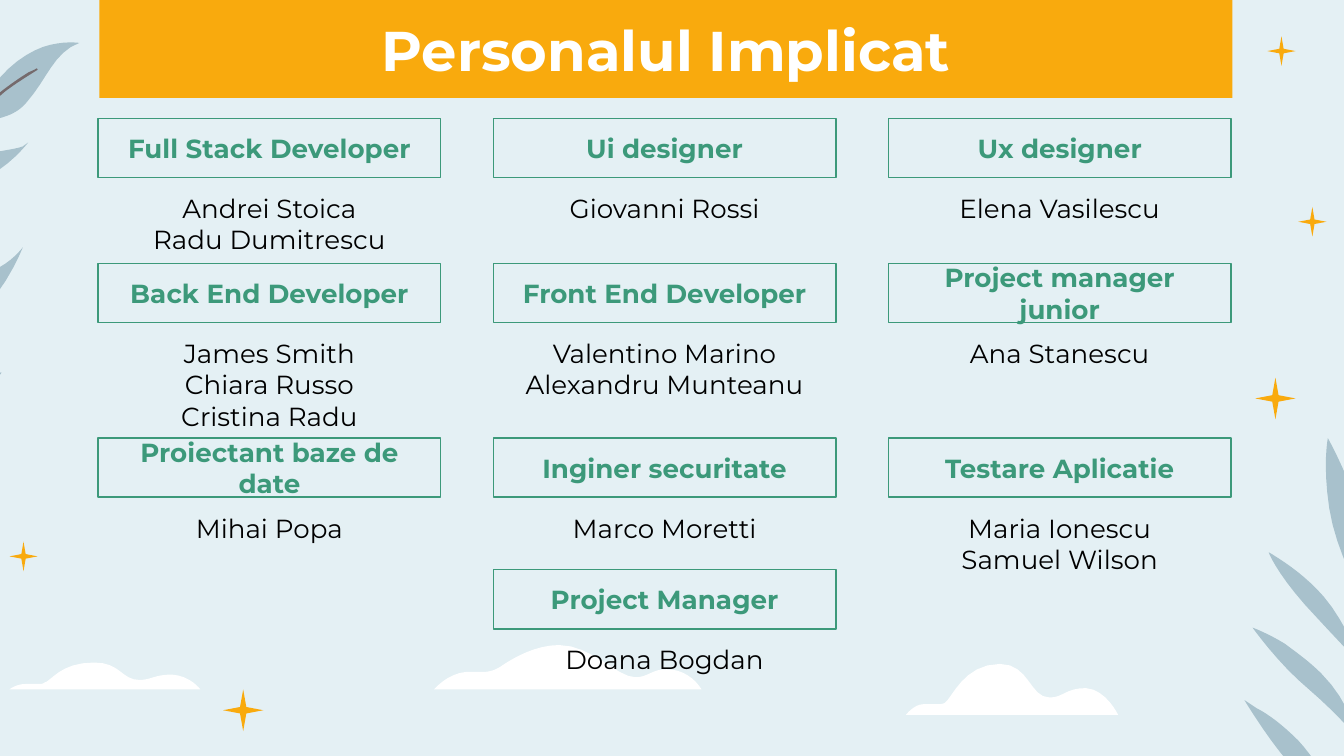
"""Build the "Personalul Implicat" slide: a team roster on a leafy background."""
from pptx import Presentation
from pptx.dml.color import RGBColor
from pptx.enum.shapes import MSO_SHAPE
from pptx.enum.text import MSO_ANCHOR, PP_ALIGN
from pptx.util import Inches, Pt

RECTANGLE, STAR = MSO_SHAPE.RECTANGLE, MSO_SHAPE.STAR_4_POINT
TOP, MIDDLE, CENTER = MSO_ANCHOR.TOP, MSO_ANCHOR.MIDDLE, PP_ALIGN.CENTER

SKY = RGBColor(0xE4, 0xF0, 0xF4)
LEAF = RGBColor(0xA8, 0xC1, 0xCC)
VEIN = RGBColor(0x75, 0x6A, 0x6C)
ORANGE = RGBColor(0xF9, 0xAA, 0x0D)
GREEN = RGBColor(0x3C, 0x99, 0x7A)
WHITE = RGBColor(0xFF, 0xFF, 0xFF)
BLACK = RGBColor(0x00, 0x00, 0x00)
FONT = "Montserrat"

TITLE = "Personalul Implicat"
ROLES = [
    (0, 0, "Full Stack Developer", ["Andrei Stoica", "Radu Dumitrescu"]),
    (0, 1, "Ui designer", ["Giovanni Rossi"]),
    (0, 2, "Ux designer", ["Elena Vasilescu"]),
    (1, 0, "Back End Developer", ["James Smith", "Chiara Russo", "Cristina Radu"]),
    (1, 1, "Front End Developer", ["Valentino Marino", "Alexandru Munteanu"]),
    (1, 2, "Project manager junior", ["Ana Stanescu"]),
    (2, 0, "Proiectant baze de date", ["Mihai Popa"]),
    (2, 1, "Inginer securitate", ["Marco Moretti"]),
    (2, 2, "Testare Aplicatie", ["Maria Ionescu", "Samuel Wilson"]),
    (3, 1, "Project Manager", ["Doana Bogdan"]),
]
ROW_TOPS = [0.88, 1.96, 3.26, 4.24]
LEFT, COLUMN_PITCH, COLUMN_WIDTH = 0.73, 2.94, 2.55
ROLE_HEIGHT, NAMES_OFFSET, NAMES_HEIGHT = 0.44, 0.45, 0.63

LEAVES = [
    [(9.35, 5.27), (9.29, 5.23, 9.26, 5.21, 9.26, 5.21), (9.26, 5.21, 9.48, 5.58, 9.67, 5.76),
     (9.76, 5.84, 9.83, 5.92, 9.88, 5.97), (9.92, 5.91), (9.87, 5.8, 9.78, 5.64, 9.66, 5.51),
     (9.54, 5.39, 9.43, 5.31, 9.35, 5.27)],
    [(9.56, 4.79), (9.43, 4.71, 9.32, 4.67, 9.32, 4.67), (9.32, 4.67, 9.51, 4.94, 9.74, 5.13),
     (9.96, 5.32, 10.1, 5.49, 10.1, 5.49), (10.1, 5.49, 10.05, 5.23, 9.83, 5.01),
     (9.74, 4.92, 9.64, 4.85, 9.56, 4.79)],
    [(9.49, 4.14), (9.46, 4.12, 9.44, 4.11, 9.44, 4.11), (9.44, 4.11, 9.49, 4.25, 9.71, 4.5),
     (9.94, 4.75, 10.14, 4.96, 10.14, 4.96), (10.14, 4.96, 10.02, 4.64, 9.85, 4.44),
     (9.72, 4.29, 9.57, 4.19, 9.49, 4.14)],
    [(9.88, 3.26), (9.88, 3.26, 9.84, 3.45, 9.89, 3.78), (9.94, 4.11, 10.14, 4.45, 10.14, 4.45),
     (10.14, 4.45, 10.21, 4.21, 10.14, 3.92), (10.08, 3.62, 9.88, 3.26, 9.88, 3.26)],
    [(0.17, 1.84), (0.17, 1.84, -0.01, 2.3, -0.3, 2.43), (-0.41, 2.14),
     (-0.29, 2.1, -0.2, 2.07, -0.12, 2.04), (-0.09, 2.03, -0.07, 2.02, -0.05, 2.01),
     (0.08, 1.96, 0.17, 1.84, 0.17, 1.84)],
    [(-0.16, 2.79), (-0.08, 2.79, -0.01, 2.78, 0.01, 2.77), (0.02, 2.77, -0.03, 2.83, -0.13, 2.89)],
    [(-0.2, 1.18), (-0.04, 1.12, 0.09, 1.12, 0.17, 1.09), (0.18, 1.08, 0.2, 1.07, 0.21, 1.06),
     (0.21, 1.06, 0.06, 1.26, -0.15, 1.34), (-0.38, 1.42, -0.53, 1.43, -0.53, 1.43),
     (-0.53, 1.43, -0.53, 1.33, -0.28, 1.21), (-0.26, 1.2, -0.23, 1.19, -0.2, 1.18)],
    [(0.32, 0.35), (0.47, 0.3, 0.59, 0.32, 0.59, 0.32), (0.4, 0.39, 0.35, 0.59, 0.2, 0.76),
     (0.16, 0.81, 0.11, 0.84, 0.06, 0.86), (-0.06, 0.91, -0.19, 0.88, -0.19, 0.88),
     (-0.04, 0.55, 0.16, 0.41, 0.32, 0.35)],
]
VEINS = [
    [(-0.33, 1.02), (-0.3, 0.97, -0.27, 0.94, -0.23, 0.9), (-0.1, 0.76, 0.05, 0.64, 0.21, 0.54),
     (0.23, 0.53, 0.26, 0.52, 0.27, 0.51), (0.28, 0.51, 0.28, 0.52, 0.28, 0.52),
     (0.2, 0.57, 0.12, 0.62, 0.04, 0.68), (-0.03, 0.74, -0.1, 0.8, -0.17, 0.87),
     (-0.3, 1.01, -0.41, 1.16, -0.49, 1.34)],
]
CLOUDS = [
    [(4.16, 4.8), (3.99, 4.8, 3.83, 4.89, 3.74, 4.95), (3.7, 4.98, 3.65, 5, 3.6, 5),
     (3.57, 5, 3.53, 5, 3.47, 5), (3.33, 5.01, 3.23, 5.13, 3.23, 5.13), (5.22, 5.13),
     (5.17, 5.05, 5.08, 4.98, 4.96, 4.98), (4.85, 4.98, 4.82, 5.04, 4.73, 5.04),
     (4.59, 5.04, 4.4, 4.8, 4.16, 4.8)],
    [(0.7, 4.93), (0.45, 4.93, 0.38, 5.07, 0.33, 5.08), (0.32, 5.09, 0.3, 5.09, 0.28, 5.09),
     (0.26, 5.09, 0.23, 5.09, 0.19, 5.09), (0.12, 5.09, 0.07, 5.13, 0.07, 5.13), (1.49, 5.13),
     (1.49, 5.13, 1.42, 5.03, 1.28, 5.02), (1.15, 5.02, 1.12, 5.06, 1.04, 5.06),
     (0.9, 5.06, 0.9, 4.93, 0.7, 4.93)],
    [(7.44, 4.94), (7.17, 4.94, 7.08, 5.2, 7.03, 5.23), (7.01, 5.24, 6.99, 5.24, 6.98, 5.24),
     (6.95, 5.24, 6.92, 5.24, 6.87, 5.24), (6.8, 5.24, 6.74, 5.32, 6.74, 5.32), (8.32, 5.32),
     (8.32, 5.32, 8.23, 5.13, 8.08, 5.12), (7.93, 5.12, 7.91, 5.19, 7.81, 5.19),
     (7.66, 5.19, 7.66, 4.94, 7.44, 4.94)],
]
BIG, SMALL = (0.3, 0.31), (0.21, 0.22)
SPARKLES = [(1.66, 5.13, BIG), (0.07, 4.03, SMALL), (9.34, 2.81, BIG),
            (9.66, 1.54, SMALL), (9.43, 0.27, SMALL)]
CURVE_STEPS = 8


def trace(outline):
    """Turn lines and cubic curves into a list of points in EMU."""
    points = [outline[0]]
    for segment in outline[1:]:
        if len(segment) == 2:
            points.append(segment)
            continue
        controls = [points[-1], segment[:2], segment[2:4], segment[4:]]
        for step in range(1, CURVE_STEPS + 1):
            t = step / CURVE_STEPS
            weights = ((1 - t) ** 3, 3 * t * (1 - t) ** 2, 3 * t * t * (1 - t), t ** 3)
            points.append(tuple(sum(w * c[axis] for w, c in zip(weights, controls)) for axis in (0, 1)))
    return [(Inches(x), Inches(y)) for x, y in points]


def paint(shape, color):
    """Give a shape a plain fill without outline or shadow."""
    shape.shadow.inherit = False
    shape.fill.solid()
    shape.fill.fore_color.rgb = color
    shape.line.fill.background()


def write(shape, lines, size, color, bold, anchor):
    """Write centred lines, one paragraph each."""
    frame = shape.text_frame
    frame.word_wrap = True
    frame.vertical_anchor = anchor
    frame.margin_left = frame.margin_right = frame.margin_top = frame.margin_bottom = Inches(0.1)
    for index, line in enumerate(lines):
        paragraph = frame.add_paragraph() if index else frame.paragraphs[0]
        paragraph.alignment = CENTER
        run = paragraph.add_run()
        run.text = line
        run.font.name, run.font.size, run.font.bold = FONT, Pt(size), bold
        run.font.color.rgb = color


def main():
    """Draw the scenery, the title banner and the roster grid."""
    deck = Presentation()
    deck.slide_width = Inches(10)
    deck.slide_height = deck.slide_width * 9 // 16
    slide = deck.slides.add_slide(deck.slide_layouts[6])
    slide.background.fill.solid()
    slide.background.fill.fore_color.rgb = SKY
    shapes = slide.shapes

    for outlines, color in ((LEAVES, LEAF), (VEINS, VEIN), (CLOUDS, WHITE)):
        for outline in outlines:
            start, *rest = trace(outline)
            builder = shapes.build_freeform(*start)
            builder.add_line_segments(rest, close=True)
            paint(builder.convert_to_shape(), color)

    for left, top, size in SPARKLES:
        sparkle = shapes.add_shape(STAR, *map(Inches, (left, top, *size)))
        sparkle.adjustments[0] = 0.11
        paint(sparkle, ORANGE)

    banner = shapes.add_shape(RECTANGLE, *map(Inches, (0.74, 0, 8.43, 0.73)))
    paint(banner, ORANGE)
    write(banner, [TITLE], 30, WHITE, True, MIDDLE)

    for row, column, role, names in ROLES:
        left, top = LEFT + column * COLUMN_PITCH, ROW_TOPS[row]
        role_box = shapes.add_shape(RECTANGLE, *map(Inches, (left, top, COLUMN_WIDTH, ROLE_HEIGHT)))
        role_box.shadow.inherit = False
        role_box.fill.background()
        role_box.line.color.rgb = GREEN
        role_box.line.width = Pt(0.75)
        write(role_box, [role], 14, GREEN, True, MIDDLE)
        names_box = shapes.add_textbox(
            *map(Inches, (left, top + NAMES_OFFSET, COLUMN_WIDTH, NAMES_HEIGHT)))
        write(names_box, names, 14, BLACK, False, TOP)

    deck.save("out.pptx")


if __name__ == "__main__":
    main()
